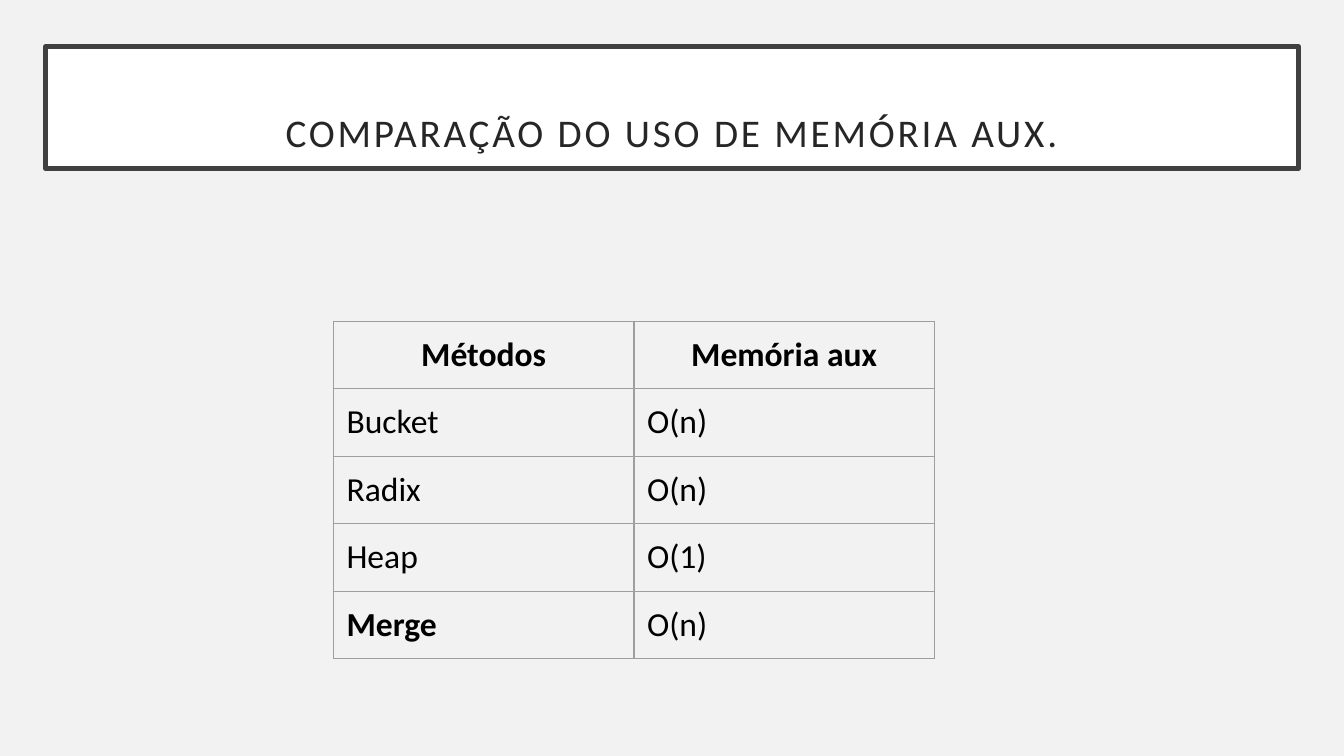
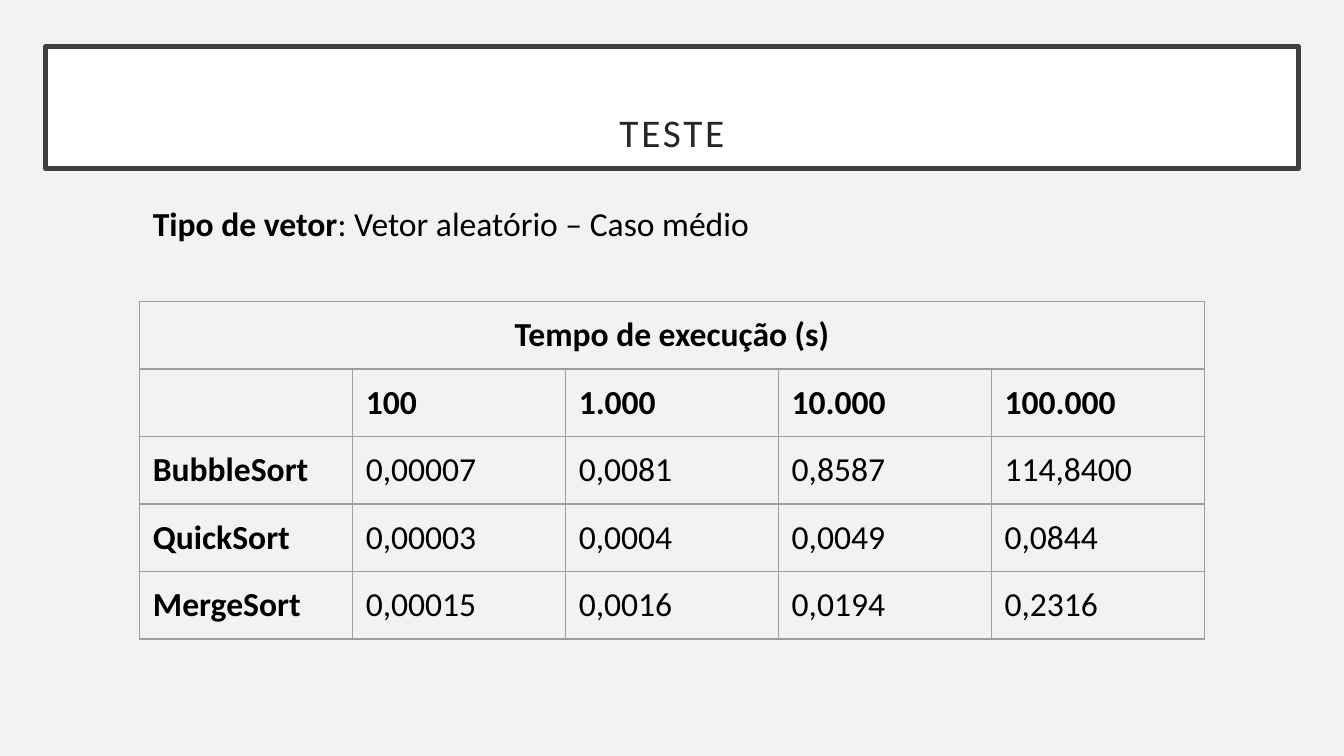
from dataclasses import dataclass

from lxml import etree
from pptx import Presentation
from pptx.dml.color import RGBColor
from pptx.enum.shapes import MSO_SHAPE
from pptx.enum.text import MSO_ANCHOR, PP_ALIGN
from pptx.oxml.ns import qn
from pptx.util import Cm, Pt

RECTANGLE = MSO_SHAPE.RECTANGLE
BOTTOM = MSO_ANCHOR.BOTTOM
TOP = MSO_ANCHOR.TOP
CENTER = PP_ALIGN.CENTER
LEFT = PP_ALIGN.LEFT
BLANK_LAYOUT = 6


@dataclass(frozen=True)
class Theme:
    """Colours, type sizes and measures shared by the slides."""
    font: str = "Calibri"
    background: str = "F2F2F2"
    band: str = "FFFFFF"
    band_line: str = "404040"
    title: str = "262626"
    text: str = "000000"
    grid: str = "9E9E9E"
    title_size: float = 21
    text_size: float = 18
    title_spacing: float = 1.5
    band_line_width: float = 2.5
    grid_width: float = 0.75
    inset: float = 0.25
    row_height: float = 1.07


THEME = Theme()

MEMORY_ROWS = [
    ["Métodos", "Memória aux"],
    ["Bucket", "O(n)"],
    ["Radix", "O(n)"],
    ["Heap", "O(1)"],
    ["Merge", "O(n)"],
]
MEMORY_BOLD = {(0, 0), (0, 1), (4, 0)}

TIME_ROWS = [
    ["Tempo de execução (s)", "", "", "", ""],
    ["", "100", "1.000", "10.000", "100.000"],
    ["BubbleSort", "0,00007", "0,0081", "0,8587", "114,8400"],
    ["QuickSort", "0,00003", "0,0004", "0,0049", "0,0844"],
    ["MergeSort", "0,00015", "0,0016", "0,0194", "0,2316"],
]
TIME_BOLD = {(row, column) for row in range(5) for column in range(5)
             if row < 2 or column == 0}


def style_font(font, size, color, bold=False):
    """Apply the theme typeface with a size, colour and weight."""
    font.name = THEME.font
    font.size = Pt(size)
    font.bold = bold
    font.color.rgb = RGBColor.from_string(color)


def set_insets(box):
    """Give a text frame or a cell the same margin on every side."""
    box.margin_left = box.margin_right = Cm(THEME.inset)
    box.margin_top = box.margin_bottom = Cm(THEME.inset)


def add_slide(presentation, title):
    """Add a slide with the shared background and framed title band."""
    slide = presentation.slides.add_slide(presentation.slide_layouts[BLANK_LAYOUT])
    slide.background.fill.solid()
    slide.background.fill.fore_color.rgb = RGBColor.from_string(THEME.background)

    band = slide.shapes.add_shape(RECTANGLE, Cm(0.86), Cm(0.88), Cm(23.68), Cm(2.31))
    band.shadow.inherit = False
    band.fill.solid()
    band.fill.fore_color.rgb = RGBColor.from_string(THEME.band)
    band.line.color.rgb = RGBColor.from_string(THEME.band_line)
    band.line.width = Pt(THEME.band_line_width)

    text_frame = band.text_frame
    text_frame.word_wrap = True
    text_frame.vertical_anchor = BOTTOM
    set_insets(text_frame)
    text_frame.text = title
    paragraph = text_frame.paragraphs[0]
    paragraph.alignment = CENTER
    paragraph.line_spacing = 0.9
    run = paragraph.runs[0]
    style_font(run.font, THEME.title_size, THEME.title)
    run.font._element.set("spc", str(int(THEME.title_spacing * 100)))
    return slide


def set_borders(cell):
    """Draw a thin grid line on the four sides of a cell."""
    properties = cell._tc.get_or_add_tcPr()
    for index, side in enumerate(("a:lnL", "a:lnR", "a:lnT", "a:lnB")):
        line = etree.Element(qn(side), w=str(Pt(THEME.grid_width)))
        fill = etree.SubElement(line, qn("a:solidFill"))
        etree.SubElement(fill, qn("a:srgbClr"), val=THEME.grid)
        properties.insert(index, line)


def add_grid(slide, rows, left, top, width, bold_cells):
    """Add a table of equal columns with a centred first row."""
    frame = slide.shapes.add_table(len(rows), len(rows[0]), Cm(left), Cm(top),
                                   Cm(width), Cm(THEME.row_height * len(rows)))
    table = frame.table
    table.first_row = False
    table.horz_banding = False
    for row_index, row in enumerate(rows):
        table.rows[row_index].height = Cm(THEME.row_height)
        for column_index, text in enumerate(row):
            cell = table.cell(row_index, column_index)
            cell.fill.background()
            set_borders(cell)
            set_insets(cell)
            cell.text = text
            paragraph = cell.text_frame.paragraphs[0]
            paragraph.alignment = CENTER if row_index == 0 else LEFT
            style_font(paragraph.font, THEME.text_size, THEME.text)
            for run in paragraph.runs:
                style_font(run.font, THEME.text_size, THEME.text,
                           (row_index, column_index) in bold_cells)
    return table


def add_labelled_text(slide, label, text, left, top, width, height):
    """Add a line of text that opens with a bold label."""
    box = slide.shapes.add_textbox(Cm(left), Cm(top), Cm(width), Cm(height))
    text_frame = box.text_frame
    text_frame.word_wrap = True
    text_frame.vertical_anchor = TOP
    set_insets(text_frame)
    paragraph = text_frame.paragraphs[0]
    paragraph.line_spacing = 1.15
    paragraph.space_after = Pt(16)
    for content, bold in ((label, True), (text, False)):
        run = paragraph.add_run()
        run.text = content
        style_font(run.font, THEME.text_size, THEME.text, bold)


def build_memory_slide(presentation):
    """Compare the auxiliary memory of the sorting methods."""
    slide = add_slide(presentation, "COMPARAÇÃO DO USO DE MEMÓRIA AUX.")
    add_grid(slide, MEMORY_ROWS, 6.3, 6.07, 11.36, MEMORY_BOLD)


def build_test_slide(presentation):
    """Show the running times for a random vector."""
    slide = add_slide(presentation, "TESTE")
    left, width = 2.64, 20.12
    table = add_grid(slide, TIME_ROWS, left, 5.7, width, TIME_BOLD)
    table.cell(0, 0).merge(table.cell(0, len(TIME_ROWS[0]) - 1))
    add_labelled_text(slide, "Tipo de vetor", ": Vetor aleatório – Caso médio",
                      left, 3.48, width, 1.6)


def main():
    """Build and save the presentation."""
    presentation = Presentation()
    presentation.slide_width = Cm(25.4)
    presentation.slide_height = Cm(14.29)
    build_memory_slide(presentation)
    build_test_slide(presentation)
    presentation.save("out.pptx")


main()
